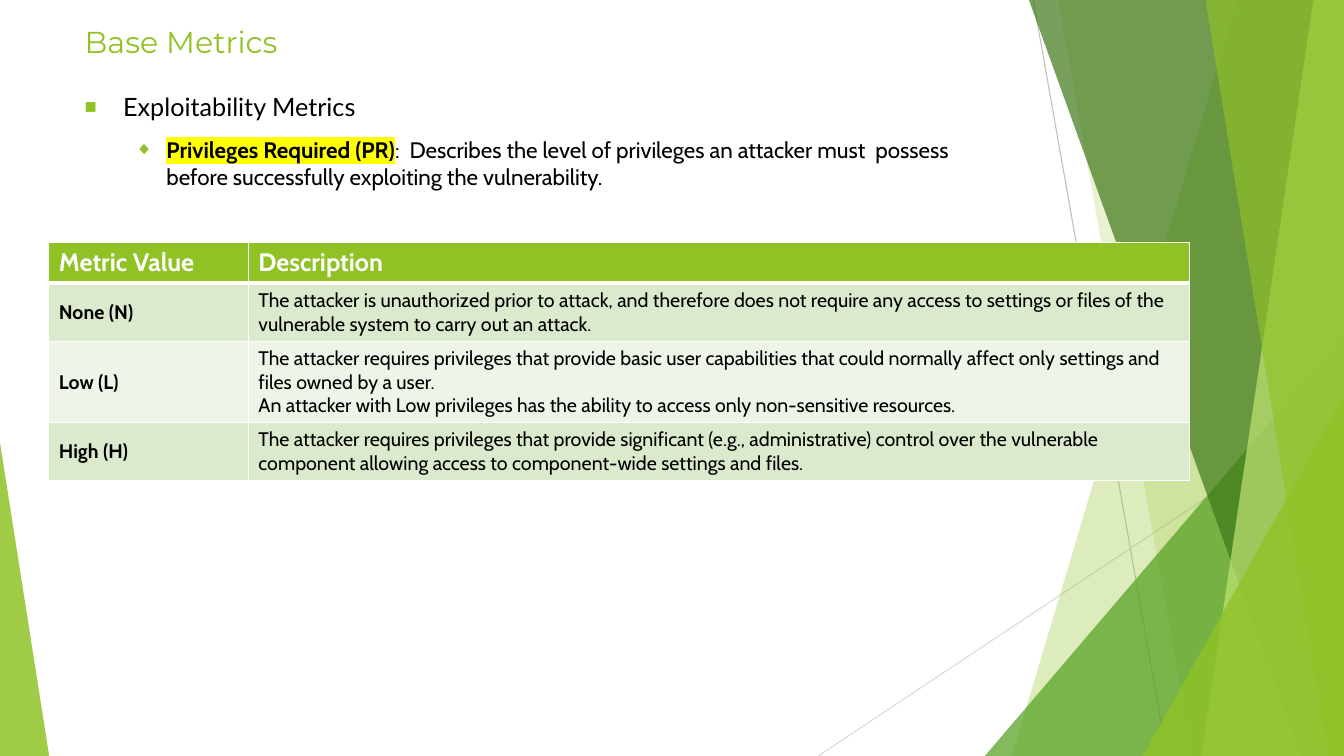
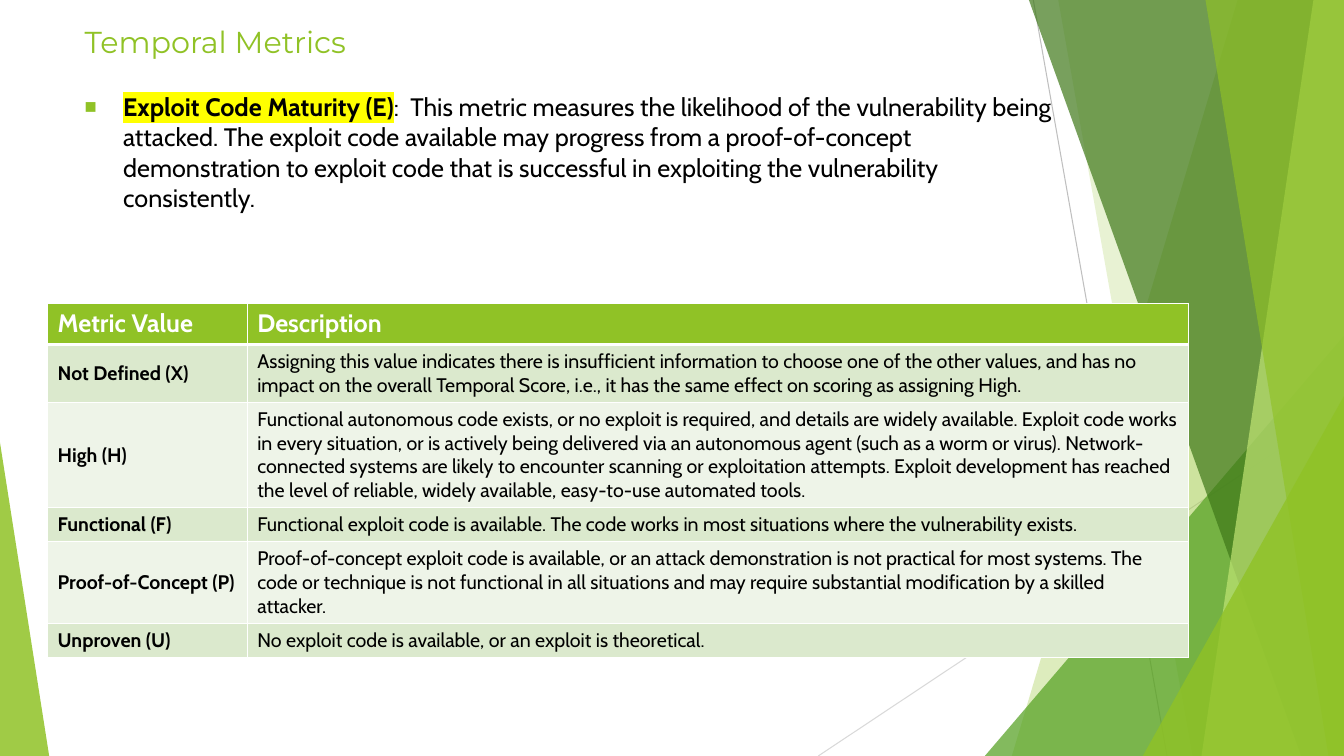
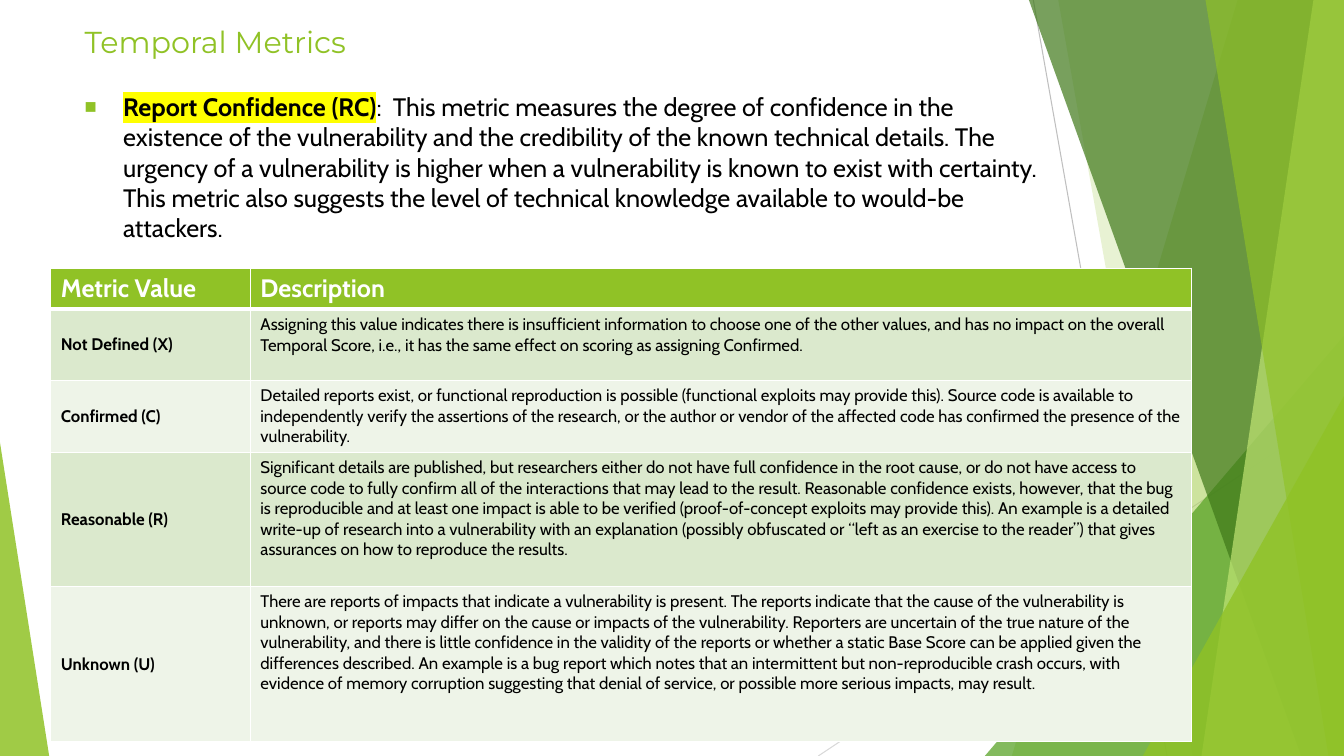
from lxml.etree import SubElement
from pptx import Presentation
from pptx.dml.color import RGBColor
from pptx.enum.shapes import MSO_CONNECTOR, MSO_SHAPE
from pptx.enum.text import MSO_ANCHOR, MSO_AUTO_SIZE, PP_ALIGN
from pptx.oxml.ns import qn
from pptx.util import Cm, Pt

SLIDE_WIDTH = 33.87
SLIDE_HEIGHT = 19.05
LEFT = 1.88

GREEN = "90C226"
LEAF = "54A021"
FOREST = "3F7819"
LIME = "C0E474"
WHITE = "FFFFFF"
BLACK = "000000"
YELLOW = "FFFF00"
BAND_FILLS = ["DBE9CD", "EEF4E8"]

TITLE_FONT = "Montserrat"
TEXT_FONT = "Cabin"
LEAD_FONT = "Lato"

COLUMN_WIDTHS = [5.03, 23.72]
HEADINGS = ["Metric Value", "Description"]
BULLETS = [("■", 0.97, 0.97, 18), ("◆", 2.06, 0.79, 16)]

PRIVILEGES = [
    ("None (N)", "The attacker is unauthorized prior to attack, and therefore does not require any access to settings or files of the vulnerable system to carry out an attack."),
    ("Low (L)", "The attacker requires privileges that provide basic user capabilities that could normally affect only settings and files owned by a user.\n"
     "An attacker with Low privileges has the ability to access only non-sensitive resources."),
    ("High (H)", "The attacker requires privileges that provide significant (e.g., administrative) control over the vulnerable component allowing access to component-wide settings and files."),
]

MATURITY = [
    ("Not Defined (X)", "Assigning this value indicates there is insufficient information to choose one of the other values, and has no impact on the overall Temporal Score, i.e., it has the same effect on scoring as assigning High."),
    ("High (H)", "Functional autonomous code exists, or no exploit is required, and details are widely available. Exploit code works in every situation, or is actively being delivered via an autonomous agent (such as a worm or virus). "
     "Network-connected systems are likely to encounter scanning or exploitation attempts. Exploit development has reached the level of reliable, widely available, easy-to-use automated tools."),
    ("Functional (F)", "Functional exploit code is available. The code works in most situations where the vulnerability exists."),
    ("Proof-of-Concept (P)", "Proof-of-concept exploit code is available, or an attack demonstration is not practical for most systems. "
     "The code or technique is not functional in all situations and may require substantial modification by a skilled attacker."),
    ("Unproven (U)", "No exploit code is available, or an exploit is theoretical."),
]

CONFIDENCE = [
    ("Not Defined (X)", "Assigning this value indicates there is insufficient information to choose one of the other values, and has no impact on the overall Temporal Score, i.e., it has the same effect on scoring as assigning Confirmed."),
    ("Confirmed (C)", "Detailed reports exist, or functional reproduction is possible (functional exploits may provide this). "
     "Source code is available to independently verify the assertions of the research, or the author or vendor of the affected code has confirmed the presence of the vulnerability."),
    ("Reasonable (R)", "Significant details are published, but researchers either do not have full confidence in the root cause, or do not have access to source code to fully confirm all of the interactions that may lead to the result. "
     "Reasonable confidence exists, however, that the bug is reproducible and at least one impact is able to be verified (proof-of-concept exploits may provide this). "
     "An example is a detailed write-up of research into a vulnerability with an explanation (possibly obfuscated or “left as an exercise to the reader”) that gives assurances on how to reproduce the results."),
    ("Unknown (U)", "There are reports of impacts that indicate a vulnerability is present. The reports indicate that the cause of the vulnerability is unknown, or reports may differ on the cause or impacts of the vulnerability. "
     "Reporters are uncertain of the true nature of the vulnerability, and there is little confidence in the validity of the reports or whether a static Base Score can be applied given the differences described. "
     "An example is a bug report which notes that an intermittent but non-reproducible crash occurs, with evidence of memory corruption suggesting that denial of service, or possible more serious impacts, may result."),
]


def rgb(hex_color):
    return RGBColor.from_string(hex_color)


def add_xml(parent, tag, **attributes):
    return SubElement(parent, qn(tag), attributes)


def paint(shape, fill, opacity):
    shape.fill.solid()
    shape.fill.fore_color.rgb = rgb(fill)
    tint = next(shape.element.iter(qn("a:srgbClr")))
    add_xml(tint, "a:alpha", val=str(opacity * 1000))
    shape.line.fill.background()
    shape.shadow.inherit = False


def add_ray(backdrop, start, end, color):
    ray = backdrop.shapes.add_connector(
        MSO_CONNECTOR.STRAIGHT, *[Cm(value) for value in start + end])
    ray.line.color.rgb = rgb(color)
    ray.line.width = Pt(0.75)
    add_xml(ray.element.find(qn("p:spPr")), "a:effectLst")


def add_blade(backdrop, top_x, bottom_x, fill, opacity):
    outline = backdrop.shapes.build_freeform(Cm(top_x), 0)
    corners = [(SLIDE_WIDTH, 0), (SLIDE_WIDTH, SLIDE_HEIGHT), (bottom_x, SLIDE_HEIGHT)]
    outline.add_line_segments([(Cm(x), Cm(y)) for x, y in corners])
    paint(outline.convert_to_shape(), fill, opacity)


def add_wedge(backdrop, left, right, top, apex, fill, opacity):
    wedge = backdrop.shapes.add_shape(
        MSO_SHAPE.ISOSCELES_TRIANGLE, Cm(left), Cm(top),
        Cm(right - left), Cm(SLIDE_HEIGHT - top))
    wedge.adjustments[0] = apex
    paint(wedge, fill, opacity)


def move_to_layout(backdrop, layout):
    for placeholder in list(layout.placeholders):
        if placeholder.placeholder_format.idx >= 10:
            layout.shapes.element.remove(placeholder.element)
    layout.shapes.element.insert(2, backdrop.element)


def add_backdrop(slide):
    backdrop = slide.shapes.add_group_shape()
    add_ray(backdrop, (26.04, 0), (29.41, SLIDE_HEIGHT), "BFBFBF")
    add_ray(backdrop, (SLIDE_WIDTH, 10.24), (20.62, SLIDE_HEIGHT), "D9D9D9")
    add_blade(backdrop, 31.19, 25.5, GREEN, 30)
    add_blade(backdrop, 26.67, 30.05, GREEN, 20)
    add_wedge(backdrop, 24.82, SLIDE_WIDTH, 8.46, 1, LEAF, 72)
    add_blade(backdrop, 25.93, 32.79, FOREST, 70)
    add_blade(backdrop, 33.1, 30.28, LIME, 70)
    add_blade(backdrop, 30.38, 33.48, GREEN, 65)
    add_wedge(backdrop, 28.8, SLIDE_WIDTH, 9.98, 1, GREEN, 80)
    add_wedge(backdrop, 0, 1.24, 11.15, 0, GREEN, 85)
    move_to_layout(backdrop, slide.slide_layout)


def format_run(run, font, size, color, bold=False):
    run.font.name = font
    run.font.size = Pt(size)
    run.font.bold = bold
    run.font.color.rgb = rgb(color)


def highlight(run):
    marker = add_xml(run.font.fill._xPr, "a:highlight")
    add_xml(marker, "a:srgbClr", val=YELLOW)
    run.font.fill._xPr.find(qn("a:solidFill")).addnext(marker)


def place(placeholder, left, top, width, height):
    placeholder.left, placeholder.top = Cm(left), Cm(top)
    placeholder.width, placeholder.height = Cm(width), Cm(height)
    placeholder.text_frame.word_wrap = True
    placeholder.text_frame.auto_size = MSO_AUTO_SIZE.NONE


def set_title(slide, text):
    title = slide.shapes.title
    place(title, LEFT, 0.46, 23.88, 1.19)
    title.text_frame.text = text
    title.text_frame.vertical_anchor = MSO_ANCHOR.MIDDLE
    heading = title.text_frame.paragraphs[0]
    heading.alignment = PP_ALIGN.LEFT
    format_run(heading.runs[0], TITLE_FONT, 21.6, GREEN)


def set_bullet(paragraph, level):
    symbol, margin, hanging, _ = BULLETS[level]
    paragraph.level = level
    properties = paragraph._p.get_or_add_pPr()
    properties.set("marL", str(Cm(margin)))
    properties.set("indent", str(-Cm(hanging)))
    add_xml(add_xml(properties, "a:buClr"), "a:srgbClr", val=GREEN)
    add_xml(properties, "a:buSzPct", val="80000")
    add_xml(properties, "a:buFont", typeface="Arial")
    add_xml(properties, "a:buChar", char=symbol)


def set_body(slide, width, height, points):
    body = slide.placeholders[1]
    place(body, LEFT, 2.18, width, height)
    frame = body.text_frame
    frame.vertical_anchor = MSO_ANCHOR.TOP
    for level, (term, explanation) in enumerate(points):
        point = frame.add_paragraph() if level else frame.paragraphs[0]
        point.space_before = Pt(10 if level else 0)
        set_bullet(point, level)
        size = BULLETS[level][3]
        point.text = term
        if explanation:
            format_run(point.runs[0], TEXT_FONT, size, BLACK, bold=True)
            highlight(point.runs[0])
            meaning = point.add_run()
            meaning.text = explanation
            format_run(meaning, TEXT_FONT, size, BLACK)
        else:
            format_run(point.runs[0], LEAD_FONT, size, BLACK)


def set_borders(cell, top, bottom):
    properties = cell._tc.get_or_add_tcPr()
    for tag, width in [("a:lnL", 1), ("a:lnR", 1), ("a:lnT", top), ("a:lnB", bottom)]:
        border = add_xml(properties, tag, w=str(Pt(width)))
        add_xml(add_xml(border, "a:solidFill"), "a:srgbClr", val=WHITE)


def fill_cell(cell, text, fill, size, color, bold, borders):
    set_borders(cell, *borders)
    cell.fill.solid()
    cell.fill.fore_color.rgb = rgb(fill)
    cell.text_frame.text = text
    for paragraph in cell.text_frame.paragraphs:
        for run in paragraph.runs:
            format_run(run, TEXT_FONT, size, color, bold)


def add_metric_table(slide, left, top, row_heights, metrics, size):
    table = slide.shapes.add_table(
        len(row_heights), len(COLUMN_WIDTHS), Cm(left), Cm(top),
        Cm(sum(COLUMN_WIDTHS)), Cm(sum(row_heights))).table
    table.horz_banding = False
    for column, width in zip(table.columns, COLUMN_WIDTHS):
        column.width = Cm(width)
    for row, height in zip(table.rows, row_heights):
        row.height = Cm(height)
    for column, heading in enumerate(HEADINGS):
        fill_cell(table.cell(0, column), heading, GREEN, 18, WHITE, True, (1, 3))
    for row, metric in enumerate(metrics, 1):
        band = BAND_FILLS[(row - 1) % 2]
        borders = (3 if row == 1 else 1, 1)
        for column, text in enumerate(metric):
            fill_cell(table.cell(row, column), text, band, size, BLACK, column == 0, borders)
        table.cell(row, 0).vertical_anchor = MSO_ANCHOR.MIDDLE


def main():
    presentation = Presentation()
    presentation.slide_width = Cm(SLIDE_WIDTH)
    presentation.slide_height = Cm(SLIDE_HEIGHT)
    layout = presentation.slide_layouts[1]

    privileges = presentation.slides.add_slide(layout)
    add_backdrop(privileges)
    set_title(privileges, "Base Metrics")
    set_body(privileges, 23.88, 3.56, [
        ("Exploitability Metrics", ""),
        ("Privileges Required (PR)", ":  Describes the level of privileges an attacker must  possess before successfully exploiting the vulnerability."),
    ])
    add_metric_table(privileges, 1.23, 6.11, [1, 1.45, 2.05, 1.45], PRIVILEGES, 14)

    maturity = presentation.slides.add_slide(layout)
    set_title(maturity, "Temporal Metrics")
    set_body(maturity, 25.04, 3.45, [
        ("Exploit Code Maturity (E)", ":  This metric measures the likelihood of the vulnerability being attacked. The exploit code available may progress from a proof-of-concept demonstration to exploit code that is successful in exploiting the vulnerability consistently."),
    ])
    add_metric_table(maturity, 1.2, 7.65, [1, 1.45, 2.65, 0.85, 2.05, 0.85], MATURITY, 14)

    confidence = presentation.slides.add_slide(layout)
    set_title(confidence, "Temporal Metrics")
    set_body(confidence, 25.04, 4.57, [
        ("Report Confidence (RC)", ":  This metric measures the degree of confidence in the existence of the vulnerability and the credibility of the known technical details. "
         "The urgency of a vulnerability is higher when a vulnerability is known to exist with certainty. This metric also suggests the level of technical knowledge available to would-be attackers."),
    ])
    add_metric_table(confidence, 1.28, 6.76, [1, 1.8, 1.8, 3.38, 3.91], CONFIDENCE, 12)

    presentation.save("out.pptx")


if __name__ == "__main__":
    main()
